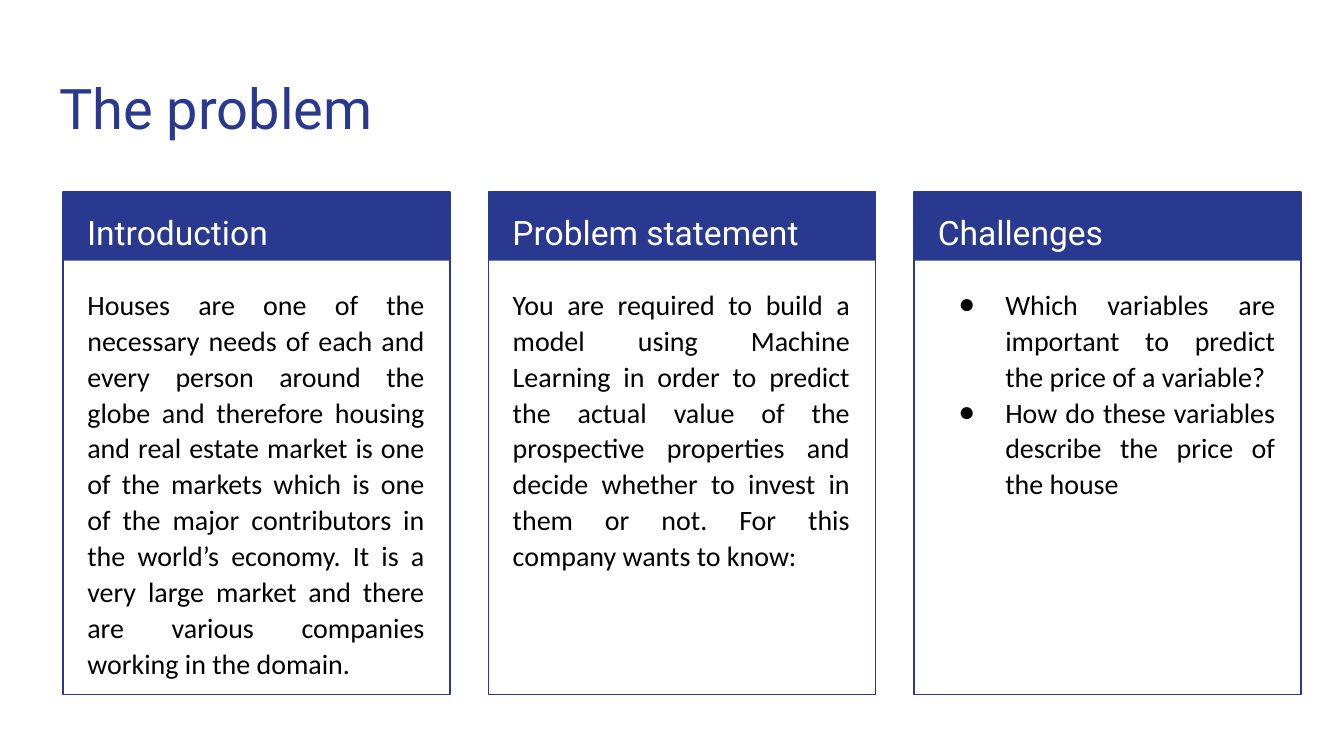
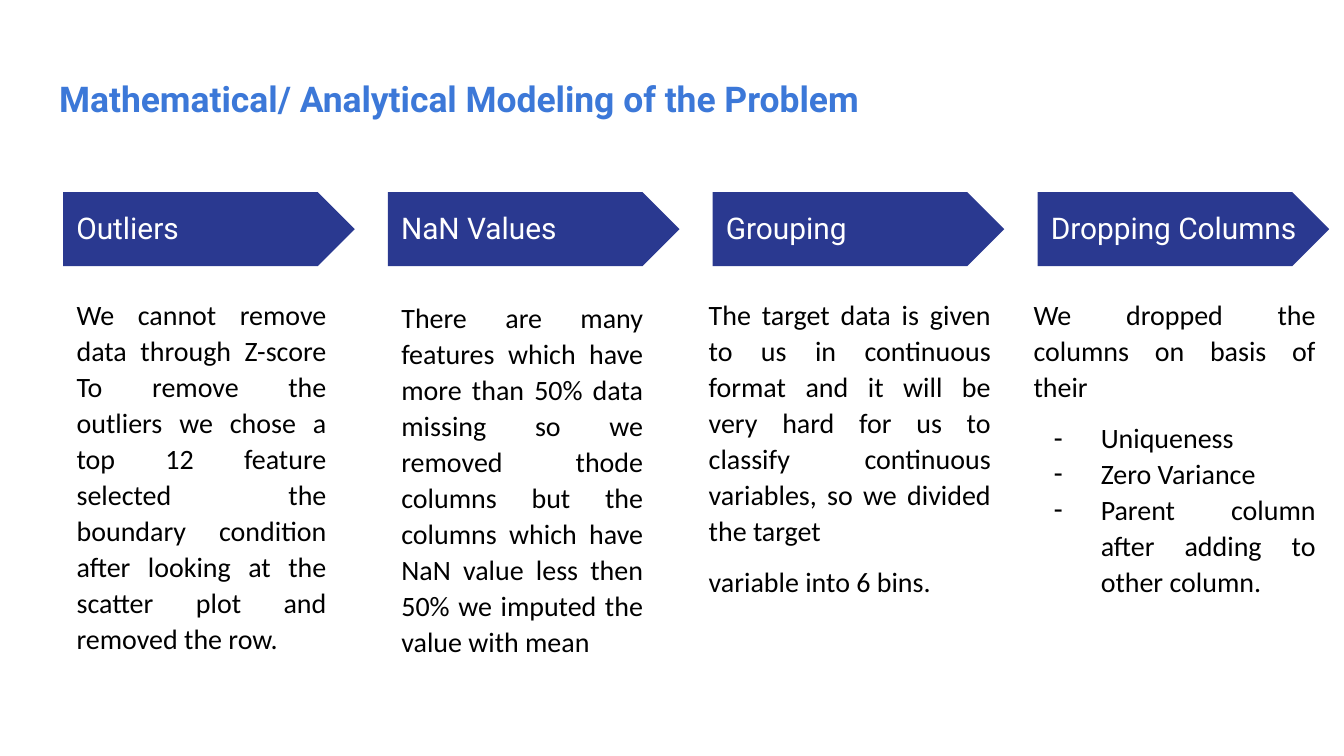
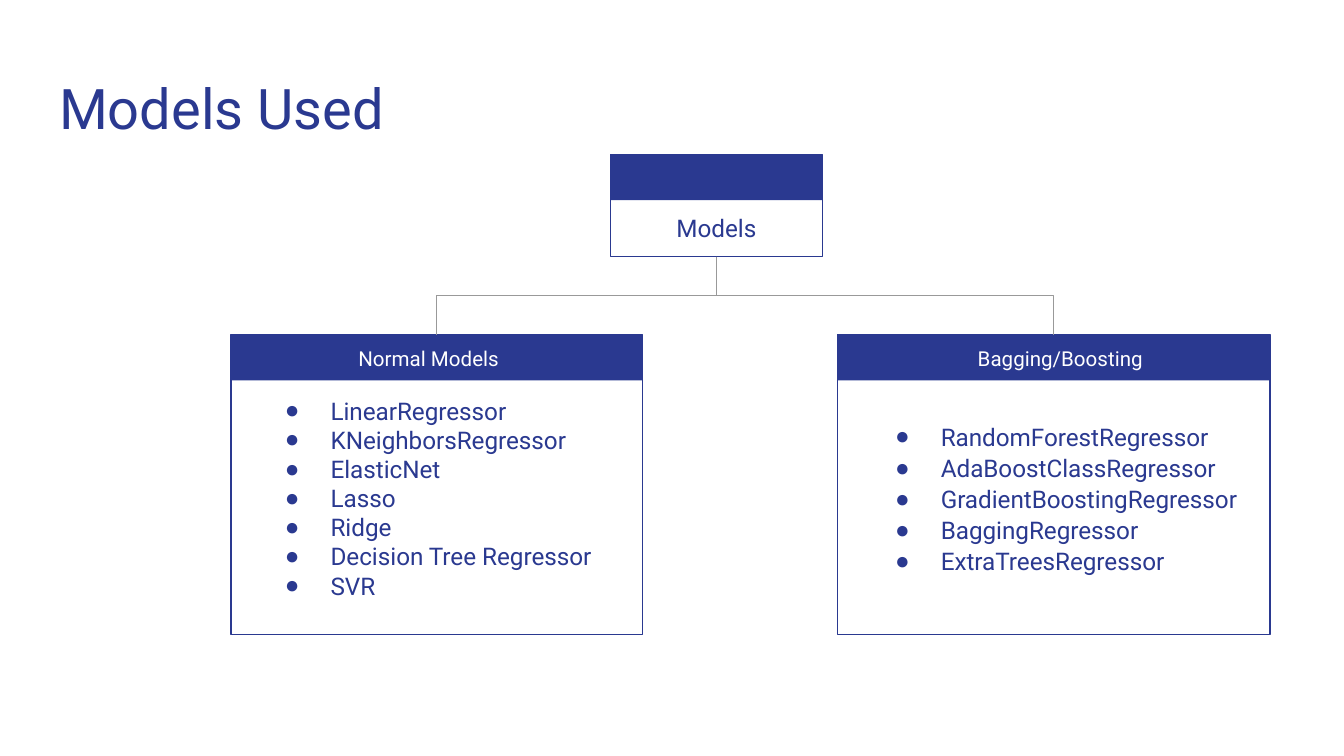
import dataclasses

import lxml.etree
import pptx
import pptx.dml.color
import pptx.enum.shapes
import pptx.enum.text
import pptx.oxml.ns
import pptx.util

Inches = pptx.util.Inches
Pt = pptx.util.Pt
ALIGN = pptx.enum.text.PP_ALIGN
ANCHOR = pptx.enum.text.MSO_ANCHOR
SHAPE = pptx.enum.shapes.MSO_SHAPE
qn = pptx.oxml.ns.qn


@dataclasses.dataclass(frozen=True)
class Theme:
    navy: str = "2A3990"
    blue: str = "3C78D8"
    white: str = "FFFFFF"
    black: str = "000000"
    gray: str = "999999"
    head: str = "Roboto"
    text: str = "Calibri"
    dot: str = "Arial"
    title: int = 30
    sub: int = 19
    card: int = 18
    step: int = 16
    body: int = 15
    list: int = 13
    label: int = 11
    line: float = 0.75
    loose: float = 1.07


THEME = Theme()


def color(code):
    return pptx.dml.color.RGBColor.from_string(code)


# Text
def mark(para, sign, tone, hang):
    """Give a paragraph a bullet sign, or none."""
    props = para._p.get_or_add_pPr()
    props.set("marL", str(Inches(0.5) if sign else 0))
    props.set("indent", str(-Inches(hang) if sign else 0))
    if not sign:
        lxml.etree.SubElement(props, qn("a:buNone"))
        return
    fill = lxml.etree.SubElement(props, qn("a:buClr"))
    lxml.etree.SubElement(fill, qn("a:srgbClr"), val=tone)
    lxml.etree.SubElement(props, qn("a:buFont"), typeface=THEME.dot)
    lxml.etree.SubElement(props, qn("a:buChar"), char=sign)


def write(item, box, lines, size, tone, font=THEME.head, align=ALIGN.LEFT,
          space=1.0, anchor=ANCHOR.TOP, bold=False, hang=0.35):
    """Place a text item in its box; lines are (bullet, text) pairs."""
    item.left, item.top, item.width, item.height = map(Inches, box)
    frame = item.text_frame
    frame.word_wrap = True
    frame.auto_size = pptx.enum.text.MSO_AUTO_SIZE.NONE
    frame.vertical_anchor = anchor
    frame.margin_left = frame.margin_right = Inches(0.1)
    frame.margin_top = frame.margin_bottom = Inches(0.1)
    frame.text = "\n".join(text for _, text in lines)
    for i, (para, (sign, _)) in enumerate(zip(frame.paragraphs, lines)):
        para.alignment = align
        para.line_spacing = space
        para.space_before = Pt(8 if i and not lines[i - 1][0] else 0)
        para.space_after = Pt(0)
        mark(para, sign, tone, hang)
        for run in para.runs:
            run.font.name = font
            run.font.size = Pt(size)
            run.font.bold = bold
            run.font.color.rgb = color(tone)


def label(slide, box, text, size, tone, **look):
    item = slide.shapes.add_textbox(*map(Inches, box))
    write(item, box, [("", text)], size, tone, **look)


def prose(item, box, lines):
    write(item, box, lines, THEME.body, THEME.black, THEME.text,
          ALIGN.JUSTIFY, THEME.loose)


# Shapes
def block(slide, box, kind=SHAPE.RECTANGLE, fill=True):
    """Add a solid navy shape, or an open one with a navy outline."""
    shape = slide.shapes.add_shape(kind, *map(Inches, box))
    shape.shadow.inherit = False
    if fill:
        shape.fill.solid()
        shape.fill.fore_color.rgb = color(THEME.navy)
        shape.line.fill.background()
    else:
        shape.fill.background()
        shape.line.color.rgb = color(THEME.navy)
        shape.line.width = Pt(THEME.line)
    return shape


def panel(slide, box, band):
    """Add an outlined frame with a solid band on top."""
    x, y, w, _ = box
    frame = block(slide, box, fill=False)
    block(slide, (x, y, w, band))
    return frame


def elbow(slide, top, low):
    """Join the bottom of one frame to the top of another, going down first."""
    link = slide.shapes.add_connector(
        pptx.enum.shapes.MSO_CONNECTOR.ELBOW, 0, 0, 0, 0)
    link.begin_connect(top, 2)
    link.end_connect(low, 0)
    x1, y1 = top.left + top.width // 2, top.top + top.height
    x2, y2 = low.left + low.width // 2, low.top
    wide, high = abs(x2 - x1), y2 - y1
    link.left = (x1 + x2 - high) // 2
    link.top = (y1 + y2 - wide) // 2
    link.width, link.height = high, wide
    right = x2 > x1
    turn = link._element.spPr.find(qn("a:xfrm"))
    turn.set("rot", str((270 if right else 90) * 60000))
    turn.set("flipH", "1" if right else "0")
    turn.set("flipV", "0")
    link.line.color.rgb = color(THEME.gray)
    link.line.width = Pt(THEME.line)
    lxml.etree.SubElement(link._element.spPr, qn("a:effectLst"))


# Slides
def start(deck, layout, title, **look):
    """Add a titled slide; return it with its body placeholders."""
    slide = deck.slides.add_slide(deck.slide_layouts.get_by_name(layout))
    style = {"size": THEME.title, "tone": THEME.navy, **look}
    write(slide.shapes.title, (0.34, 0.45, 9.32, 0.66), [("", title)], **style)
    return slide, list(slide.placeholders)[1:]


def card(slide, item, box, head, lines):
    x, y, w, _ = box
    panel(slide, box, 0.51)
    label(slide, (x + 0.08, y, w - 0.15, 0.5), head, THEME.card, THEME.white,
          space=1.15)
    prose(item, (x + 0.08, y + 0.59, w - 0.17, 3.06), lines)


def cards(deck):
    slide, slots = start(deck, "Comparison", "The problem")
    parts = [
        ("Introduction", [("", "Houses are one of the necessary needs of each "
         "and every person around the globe and therefore housing and real "
         "estate market is one of the markets which is one of the major "
         "contributors in the world’s economy. It is a very large market and "
         "there are various companies working in the domain.")]),
        ("Problem statement", [("", "You are required to build a model using "
         "Machine Learning in order to predict the actual value of the "
         "prospective properties and decide whether to invest in them or not. "
         "For this company wants to know:")]),
        ("Challenges", [
            ("●", "Which variables are important to predict the price of a "
             "variable?"),
            ("●", "How do these variables describe the price of the house")]),
    ]
    first, last = 0.47, 6.8
    pitch = (last - first) / (len(parts) - 1)
    for i, (head, lines) in enumerate(parts):
        box = (first + i * pitch, 1.43, 2.88, 3.74)
        card(slide, slots[i], box, head, lines)
    for spare in slots[len(parts):]:
        spare._element.getparent().remove(spare._element)


def step(slide, item, box, head, inner, lines):
    x, y, w, h = box
    shift, drop, wide = inner
    block(slide, box, SHAPE.PENTAGON)
    label(slide, (x, y + 0.09, min(2.47, 10 - x), 0.34), head, THEME.step,
          THEME.white, anchor=ANCHOR.MIDDLE)
    prose(item, (x + shift, y + drop, wide, 2.9), lines)


def steps(deck):
    slide, slots = start(
        deck, "Comparison", "Mathematical/ Analytical Modeling of the Problem",
        size=THEME.sub, tone=THEME.blue, bold=True, align=ALIGN.JUSTIFY,
        space=THEME.loose)
    # Heading, text offset and width, lines
    parts = [
        ("Outliers", (0, 0.67, 2.06), [
            ("", "We cannot remove data through Z-score To remove the outliers "
             "we chose a top 12 feature selected the boundary condition after "
             "looking at the scatter plot and removed the row.")]),
        ("NaN Values", (0, 0.69, 2), [
            ("", "There are many features which have more than 50% data "
             "missing so we removed thode columns but the columns which have "
             "NaN value less then 50% we imputed the value with mean")]),
        ("Grouping", (-0.13, 0.67, 2.3), [
            ("", "The target data is given to us in continuous format and it "
             "will be very hard for us to classify continuous variables, so "
             "we divided the target"),
            ("", "variable into 6 bins.")]),
        ("Dropping Columns", (-0.13, 0.67, 2.3), [
            ("", "We dropped the columns on basis of their"),
            ("-", "Uniqueness"),
            ("-", "Zero Variance"),
            ("-", "Parent column after adding to other column.")]),
    ]
    first, last = 0.47, 7.72
    pitch = (last - first) / (len(parts) - 1)
    for i, (head, inner, lines) in enumerate(parts):
        box = (first + i * pitch, 1.43, 2.17, 0.55)
        step(slide, slots[i], box, head, inner, lines)


def group(slide, item, box, head, mid, inner, names, **look):
    x, y, _, _ = box
    shift, wide = inner
    frame = panel(slide, box, 0.34)
    label(slide, (x + mid, y + 0.07, 1.58, 0.21), head, THEME.label,
          THEME.white, align=ALIGN.CENTER, anchor=ANCHOR.MIDDLE)
    write(item, (x + shift, y + 0.95, wide, 0.53),
          [("●", name) for name in names], THEME.list, THEME.navy,
          anchor=ANCHOR.MIDDLE, hang=0.34, **look)
    return frame


def tree(deck):
    slide, (left, right) = start(deck, "Two Content", "Models Used")
    # Root
    x, y, w = 4.54, 1.15, 1.58
    root = panel(slide, (x, y, w, 0.76), 0.34)
    label(slide, (x, y + 0.44, w, 0.21), "Models", THEME.list, THEME.navy,
          align=ALIGN.CENTER, anchor=ANCHOR.MIDDLE)
    # Branches
    plain = group(
        slide, left, (1.72, 2.49, 3.06, 2.23), "Normal Models", 0.68,
        (0.14, 2.78),
        ["LinearRegressor", "KNeighborsRegressor", "ElasticNet", "Lasso",
         "Ridge", "Decision Tree Regressor", "SVR"])
    boost = group(
        slide, right, (6.23, 2.49, 3.22, 2.23), "Bagging/Boosting", 0.87,
        (0.17, 3.09),
        ["RandomForestRegressor", "AdaBoostClassRegressor",
         "GradientBoostingRegressor", "BaggingRegressor",
         "ExtraTreesRegressor"],
        align=ALIGN.JUSTIFY, space=THEME.loose)
    for low in (plain, boost):
        elbow(slide, root, low)


def main():
    deck = pptx.Presentation()
    deck.slide_width = Inches(10)
    deck.slide_height = deck.slide_width * 9 // 16
    cards(deck)
    steps(deck)
    tree(deck)
    deck.save("out.pptx")


if __name__ == "__main__":
    main()
